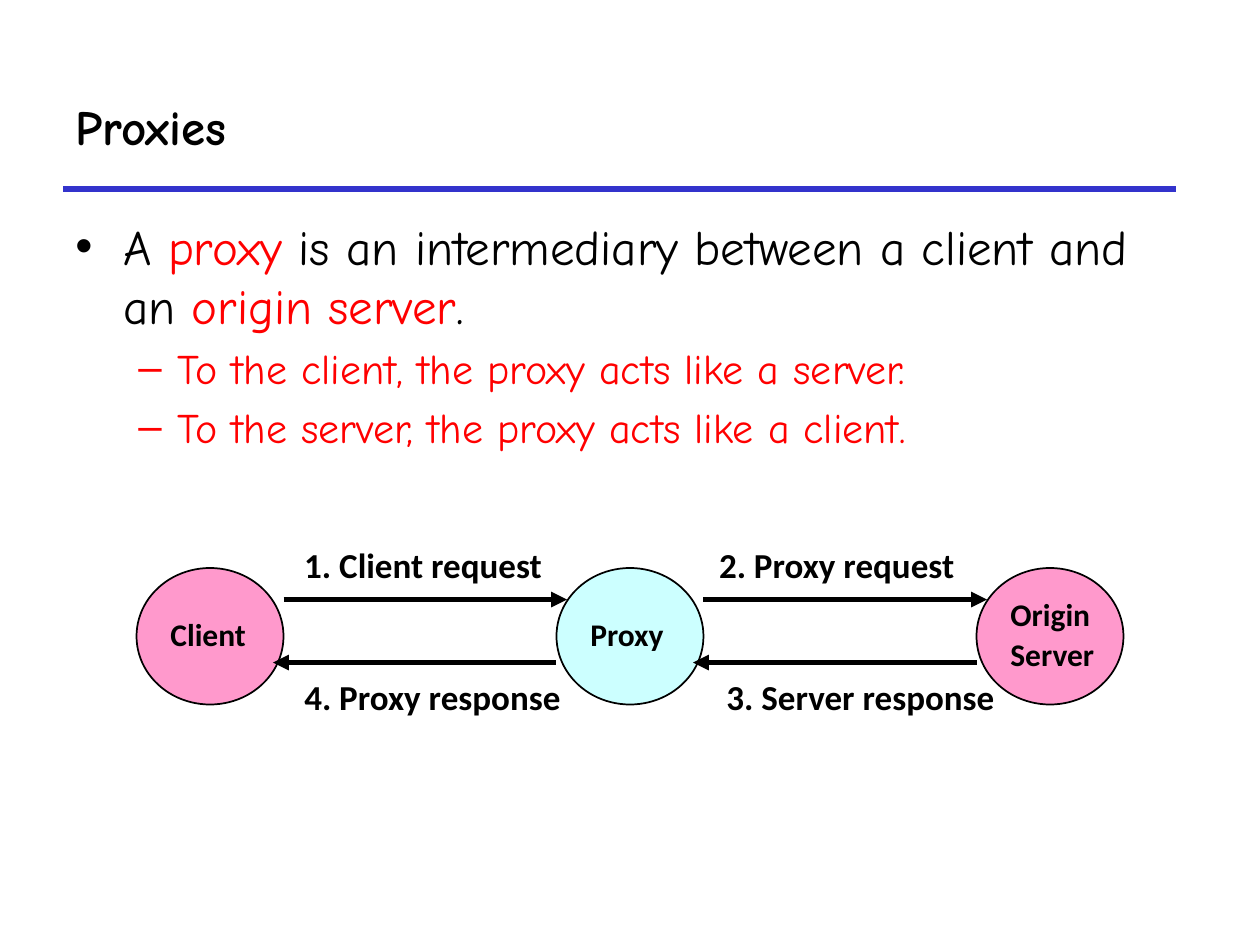
from lxml.etree import SubElement
from pptx import Presentation
from pptx.dml.color import RGBColor
from pptx.enum.shapes import MSO_CONNECTOR, MSO_SHAPE
from pptx.enum.text import MSO_ANCHOR, MSO_AUTO_SIZE, PP_ALIGN
from pptx.oxml.ns import qn
from pptx.util import Inches, Pt

BLACK = RGBColor(0, 0, 0)
RED = RGBColor(255, 0, 0)
BLUE = RGBColor(0x33, 0x33, 0xCC)
PINK = RGBColor(0xFF, 0x99, 0xCC)
CYAN = RGBColor(0xCC, 0xFF, 0xFF)
HAND = "Comic Neue"
SANS = "Calibri"


def grid(*cells):
    return [Inches(cell / 12) for cell in cells]


def style(run, face, size, color=BLACK, bold=False):
    font = run.font
    font.name, font.size, font.bold = face, Pt(size), bold
    font.color.rgb = color


def rule(slide, left, right, y, color=BLACK, end=None):
    line = slide.shapes.add_connector(
        MSO_CONNECTOR.STRAIGHT, *grid(left, y, right, y))
    line.line.color.rgb = color
    line.line.width = Pt(3)
    props = line._element.spPr
    if end:
        SubElement(props.find(qn("a:ln")), qn(end), type="triangle")
    SubElement(props, qn("a:effectLst"))


def label(shape, text, size):
    frame = shape.text_frame
    frame.text = text
    frame.word_wrap = False
    for par in frame.paragraphs:
        par.alignment = PP_ALIGN.LEFT
        par.line_spacing = 0.9
        par.space_before = Pt(size * 0.2)
        style(par.runs[0], SANS, size, bold=True)


def header(slide, left, top, wide, high):
    rule(slide, left, left + wide, top + high, BLUE)
    title = slide.shapes.title
    title.left, title.top, title.width, title.height = grid(
        left, top, wide, high)
    frame = title.text_frame
    frame.text = "Proxies"
    frame.vertical_anchor = MSO_ANCHOR.MIDDLE
    par = frame.paragraphs[0]
    par.alignment = PP_ALIGN.LEFT
    style(par.runs[0], HAND, 28, bold=True)


def bullets(slide, left, top, wide, high):
    items = [
        (0, [("A ", BLACK), ("proxy ", RED),
             ("is an intermediary between a client and an ", BLACK),
             ("origin server", RED), (".", BLACK)]),
        (1, [("To the client, the proxy acts like a server.", RED)]),
        (1, [("To the server, the proxy acts like a client.", RED)]),
    ]
    levels = [("•", 28, 0.38, 0.38), ("–", 24, 0.81, 0.31)]
    frame = slide.shapes.add_textbox(*grid(left, top, wide, high)).text_frame
    frame.word_wrap = True
    for num, (level, parts) in enumerate(items):
        mark, size, margin, hang = levels[level]
        par = frame.add_paragraph() if num else frame.paragraphs[0]
        par.level = level
        par.space_before = Pt(size * 0.2)
        for text, color in parts:
            run = par.add_run()
            run.text = text
            style(run, HAND, size, color)
        props = par._p.get_or_add_pPr()
        props.set("marL", str(Inches(margin)))
        props.set("indent", str(-Inches(hang)))
        SubElement(props, qn("a:buFont"), typeface="Arial")
        SubElement(props, qn("a:buChar"), char=mark)


def node(slide, left, top, wide, high, text, color):
    oval = slide.shapes.add_shape(
        MSO_SHAPE.OVAL, *grid(left, top, wide, high))
    oval.shadow.inherit = False
    oval.fill.solid()
    oval.fill.fore_color.rgb = color
    oval.line.color.rgb = BLACK
    oval.line.width = Pt(1)
    oval.text_frame.vertical_anchor = MSO_ANCHOR.MIDDLE
    label(oval, text, 18)


def caption(slide, left, top, wide, text):
    box = slide.shapes.add_textbox(*grid(left, top, wide, 4.8))
    label(box, text, 20)
    box.text_frame.auto_size = MSO_AUTO_SIZE.SHAPE_TO_FIT_TEXT


def flow(slide, left, top, wide, high):
    size = 14
    step = (wide - size) / 2
    span = step - size + 1
    nodes = [("Client", PINK), ("Proxy", CYAN), ("Origin\nServer", PINK)]
    for num, (text, color) in enumerate(nodes):
        node(slide, left + num * step, top, size, high, text, color)
    hops = [("1. Client request", 25.9, "4. Proxy response", 28.2),
            ("2. Proxy request", 25.8, "3. Server response", 28.9)]
    for num, (ask, ask_w, reply, reply_w) in enumerate(hops):
        edge = left + num * step + size
        rule(slide, edge, edge + span, top + 3, end="a:tailEnd")
        caption(slide, edge + 0.8 - num * 0.5, top - 2.5, ask_w, ask)
        rule(slide, edge - 1, edge - 1 + span, top + 9, end="a:headEnd")
        caption(slide, edge + 0.8 + num * 0.2, top + 10.1, reply_w, reply)


def main():
    deck = Presentation()
    deck.slide_width, deck.slide_height = grid(120, 90)
    slide = deck.slides.add_slide(deck.slide_layouts[5])
    header(slide, 6, 6, 106, 12)
    bullets(slide, 6, 20, 109, 52)
    flow(slide, 13, 54.1, 94, 13)
    deck.save("out.pptx")


if __name__ == "__main__":
    main()
